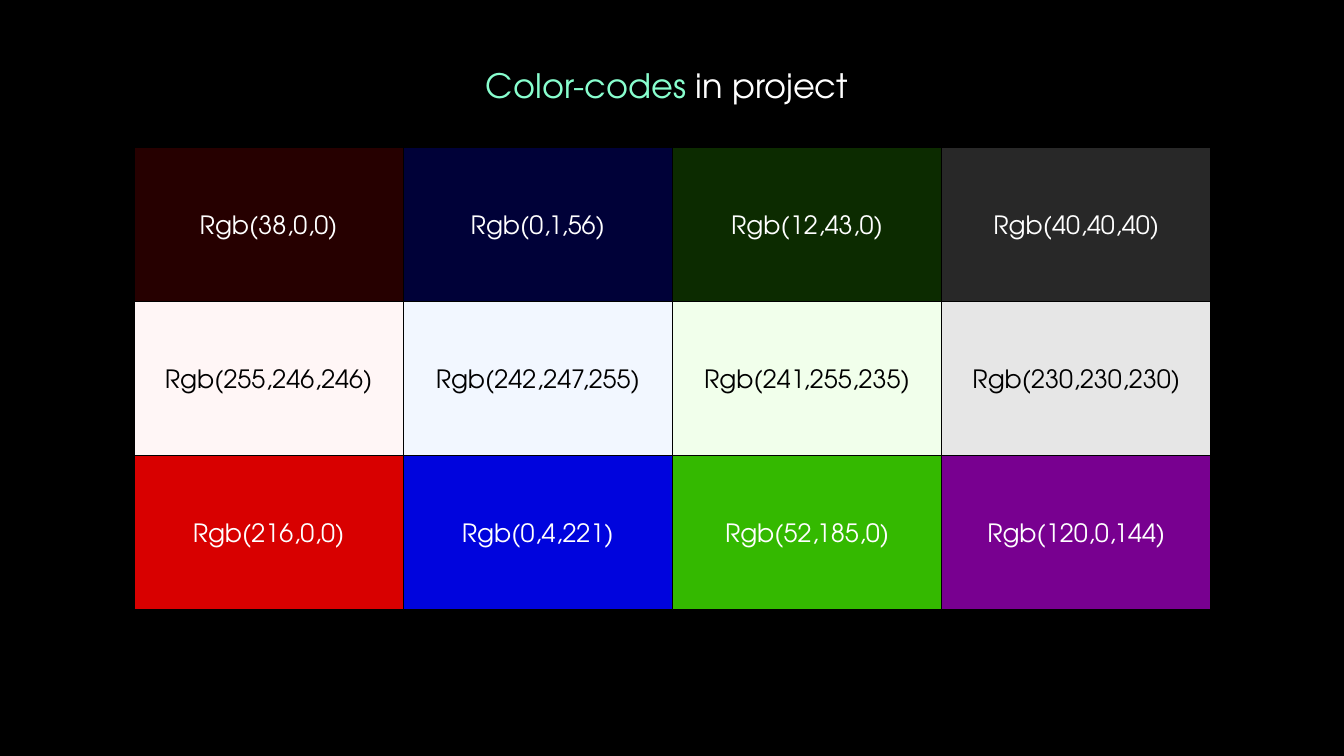
from pptx import Presentation
from pptx.dml.color import RGBColor
from pptx.enum import shapes, text
from pptx.util import Inches, Pt

FONT = "TeX Gyre Adventor"
BLACK = RGBColor(0, 0, 0)
WHITE = RGBColor(255, 255, 255)
MINT = RGBColor(0x88, 0xFE, 0xCE)

LEFT, TOP = 1.33, 1.46
CELL_W, CELL_H = 2.67, 1.53

# Each row: text colour, then the swatch colours from left to right
SWATCH_ROWS = [
    (WHITE, [(38, 0, 0), (0, 1, 56), (12, 43, 0), (40, 40, 40)]),
    (BLACK, [(255, 246, 246), (242, 247, 255), (241, 255, 235), (230, 230, 230)]),
    (WHITE, [(216, 0, 0), (0, 4, 221), (52, 185, 0), (120, 0, 144)]),
]


def add_run(p, content, size, color):
    r = p.add_run()
    r.text = content
    r.font.name = FONT
    r.font.size = Pt(size)
    r.font.color.rgb = color


prs = Presentation()
prs.slide_width, prs.slide_height = Inches(13.33), Inches(7.5)
s = prs.slides.add_slide(prs.slide_layouts[5])
s.background.fill.solid()
s.background.fill.fore_color.rgb = BLACK

# Title
title = s.shapes.title
title.left, title.top = Inches(4.72), Inches(0.59)
title.width, title.height = Inches(3.85), Inches(0.5)
tf = title.text_frame
tf.word_wrap = False
tf.auto_size = text.MSO_AUTO_SIZE.SHAPE_TO_FIT_TEXT
tf.vertical_anchor = text.MSO_ANCHOR.TOP
p = tf.paragraphs[0]
p.alignment = text.PP_ALIGN.LEFT
add_run(p, "Color-codes ", 24, MINT)
add_run(p, "in project", 24, WHITE)

# Swatch grid
for row, (text_color, swatches) in enumerate(SWATCH_ROWS):
    for col, rgb in enumerate(swatches):
        sp = s.shapes.add_shape(
            shapes.MSO_SHAPE.RECTANGLE,
            Inches(LEFT + col * CELL_W), Inches(TOP + row * CELL_H),
            Inches(CELL_W), Inches(CELL_H))
        sp.shadow.inherit = False
        sp.fill.solid()
        sp.fill.fore_color.rgb = RGBColor(*rgb)
        sp.line.color.rgb = BLACK
        sp.line.width = Pt(1)
        tf = sp.text_frame
        tf.vertical_anchor = text.MSO_ANCHOR.MIDDLE
        p = tf.paragraphs[0]
        p.alignment = text.PP_ALIGN.CENTER
        add_run(p, "Rgb({},{},{})".format(*rgb), 18, text_color)

prs.save("out.pptx")
